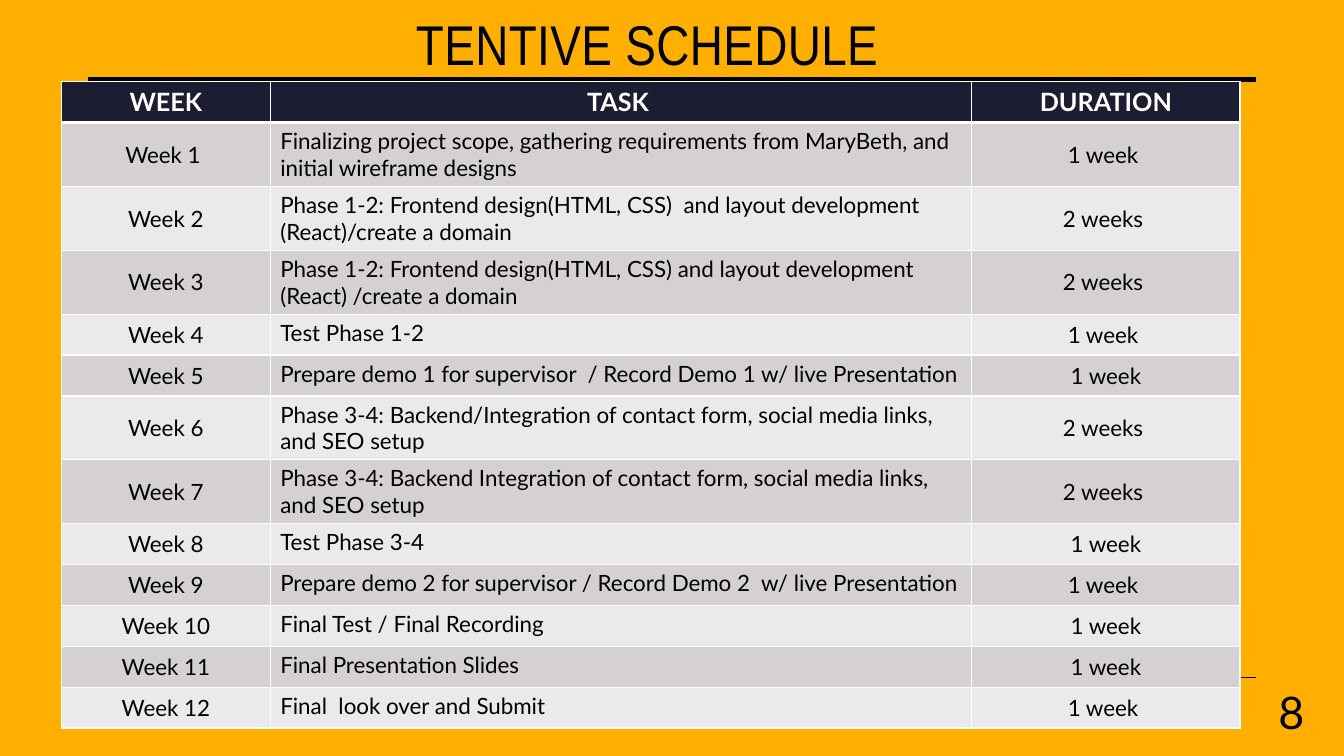
from dataclasses import dataclass

from lxml import etree
from pptx import Presentation
from pptx import util as u
from pptx.dml.color import RGBColor
from pptx.enum import shapes, text
from pptx.oxml import ns


@dataclass(frozen=True)
class Theme:
    background: str = "FFAF00"
    ink: str = "000000"
    light: str = "FFFFFF"
    header: str = "1C1C32"
    bands: tuple = ("D5D0D3", "EBE9EB")
    title_font: str = "Arial Narrow"
    body_font: str = "Lato"
    title_size: int = 40
    number_size: int = 32
    header_size: int = 18
    body_size: int = 16


THEME = Theme()
LEFT, CENTER, RIGHT = text.PP_ALIGN.LEFT, text.PP_ALIGN.CENTER, text.PP_ALIGN.RIGHT
TOP, MIDDLE = text.MSO_ANCHOR.TOP, text.MSO_ANCHOR.MIDDLE

# Lengths in centimetres
COLUMN_WIDTHS = (5.26, 17.68, 6.76)
ROW_HEIGHT, TALL_ROW_HEIGHT = 1.03, 1.6
TALL_WEEKS = {1, 2, 3, 6, 7}

HEADINGS = ("WEEK", "TASK ", "DURATION")
SCHEDULE = [
    ("Week 1 ", "Finalizing project scope, gathering requirements from MaryBeth, "
                "and initial wireframe designs", "1 week "),
    ("Week 2", "Phase 1-2: Frontend design(HTML, CSS)  and layout development "
               "(React)/create a domain", "2 weeks "),
    ("Week 3", "Phase 1-2: Frontend design(HTML, CSS) and layout development "
               "(React) /create a domain", "2 weeks "),
    ("Week 4", "Test Phase 1-2", "1 week "),
    ("Week 5", "Prepare demo 1 for supervisor  / Record Demo 1 w/ live Presentation", "1 week"),
    ("Week 6", "Phase 3-4: Backend/Integration of contact form, social media links, "
               "and SEO setup", "2 weeks "),
    ("Week 7", "Phase 3-4: Backend Integration of contact form, social media links, "
               "and SEO setup", "2 weeks "),
    ("Week 8", "Test Phase 3-4", "1 week"),
    ("Week 9", "Prepare demo 2 for supervisor / Record Demo 2  w/ live Presentation", "1 week "),
    ("Week 10", "Final Test / Final Recording", "1 week"),
    ("Week 11", "Final Presentation Slides", "1 week"),
    ("Week 12", "Final  look over and Submit", "1 week "),
]


def color(value):
    return RGBColor.from_string(value)


def write(frame, words, *, size, font=THEME.body_font, ink=THEME.ink,
          bold=False, align=LEFT, spacing=None):
    para = frame.paragraphs[0]
    para.alignment = align
    span = para.add_run()
    span.text = words
    span.font.name = font
    span.font.size = u.Pt(size)
    span.font.bold = bold
    span.font.color.rgb = color(ink)
    if spacing is not None:
        span.font._element.set("spc", str(round(spacing * 100)))


def add_text(page, box, words, **style):
    frame = page.shapes.add_textbox(*map(u.Cm, box)).text_frame
    frame.word_wrap = True
    frame.vertical_anchor = MIDDLE
    write(frame, words, **style)


def add_rule(page, box, weight):
    left, top, width = box
    line = page.shapes.add_connector(
        shapes.MSO_CONNECTOR.STRAIGHT,
        u.Cm(left), u.Cm(top), u.Cm(left + width), u.Cm(top))
    line.line.color.rgb = color(THEME.ink)
    line.line.width = u.Pt(weight)
    etree.SubElement(line._element.spPr, ns.qn("a:effectLst"))


def set_borders(cell, **weights):
    properties = cell._tc.get_or_add_tcPr()
    for position, side in enumerate(("L", "R", "T", "B")):
        border = etree.Element(ns.qn(f"a:ln{side}"), w=str(u.Pt(weights.get(side, 1))))
        fill = etree.SubElement(border, ns.qn("a:solidFill"))
        etree.SubElement(fill, ns.qn("a:srgbClr"), val=THEME.light)
        properties.insert(position, border)


# Title and the two horizontal rules
def add_heading(page, box):
    add_text(page, box, "TENTIVE SCHEDULE ", size=THEME.title_size,
             font=THEME.title_font, align=CENTER, spacing=0.3)


def add_rules(page, box):
    left, top, width, height = box
    add_rule(page, (left, top, width), 3.5)
    add_rule(page, (left, top + height, width), 1)


# Weekly schedule
def add_schedule(page, box):
    left, top = box
    heights = [ROW_HEIGHT] + [
        TALL_ROW_HEIGHT if week in TALL_WEEKS else ROW_HEIGHT
        for week in range(1, len(SCHEDULE) + 1)]
    table = page.shapes.add_table(
        len(heights), len(COLUMN_WIDTHS), u.Cm(left), u.Cm(top),
        u.Cm(sum(COLUMN_WIDTHS)), u.Cm(sum(heights))).table
    for column, width in zip(table.columns, COLUMN_WIDTHS):
        column.width = u.Cm(width)
    for row, height in zip(table.rows, heights):
        row.height = u.Cm(height)

    for r, entries in enumerate([HEADINGS, *SCHEDULE]):
        is_header = r == 0
        for c, words in enumerate(entries):
            cell = table.cell(r, c)
            is_task = c == 1 and not is_header
            cell.vertical_anchor = TOP if is_task else MIDDLE
            cell.fill.solid()
            cell.fill.fore_color.rgb = color(
                THEME.header if is_header else THEME.bands[(r - 1) % 2])
            set_borders(cell, T=3 if r == 1 else 1, B=3 if is_header else 1)
            write(cell.text_frame, words,
                  size=THEME.header_size if is_header else THEME.body_size,
                  ink=THEME.light if is_header else THEME.ink,
                  bold=is_header, align=LEFT if is_task else CENTER)


def add_page_number(page, box):
    add_text(page, box, "8", size=THEME.number_size, align=RIGHT)


def main():
    deck = Presentation()
    deck.slide_width, deck.slide_height = u.Cm(33.87), u.Cm(19.05)
    page = deck.slides.add_slide(deck.slide_layouts[6])
    page.background.fill.solid()
    page.background.fill.fore_color.rgb = color(THEME.background)

    add_rules(page, (2.23, 2, 29.42, 15.07))
    add_heading(page, (1.63, -0.74, 29.7, 3.63))
    add_page_number(page, (31.24, 17.42, 1.88, 1.02))
    add_schedule(page, (1.55, 2.06))
    deck.save("out.pptx")


if __name__ == "__main__":
    main()
